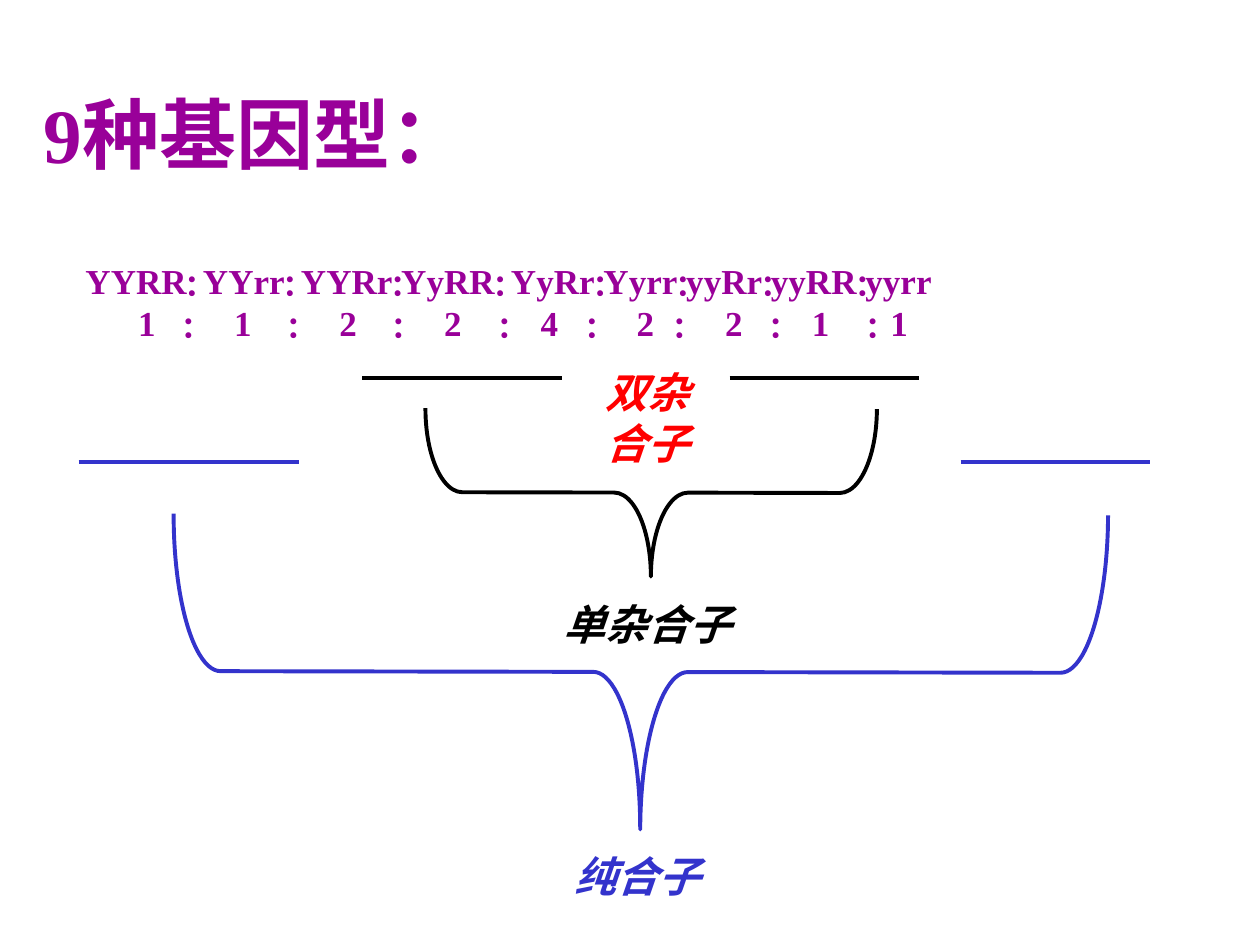
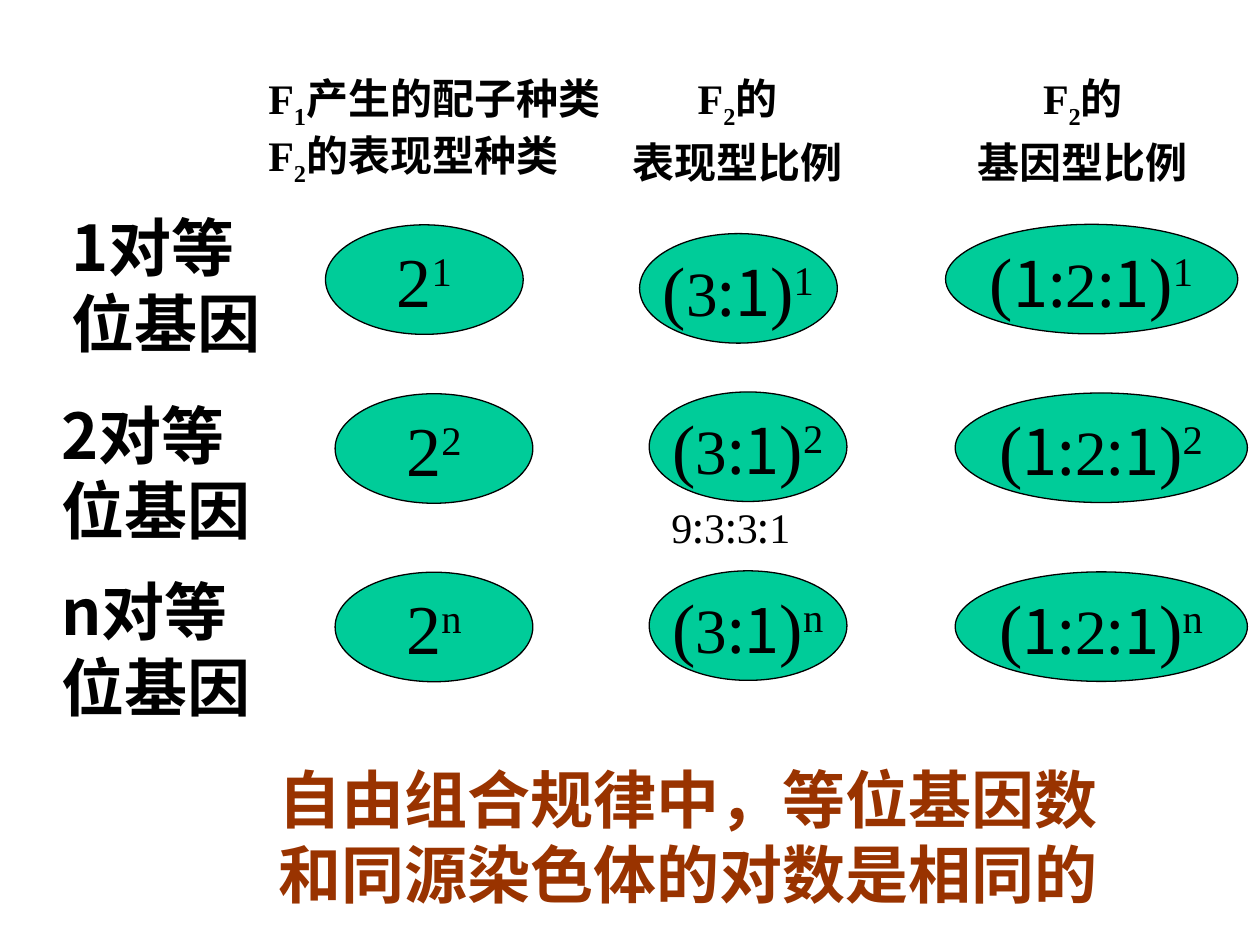
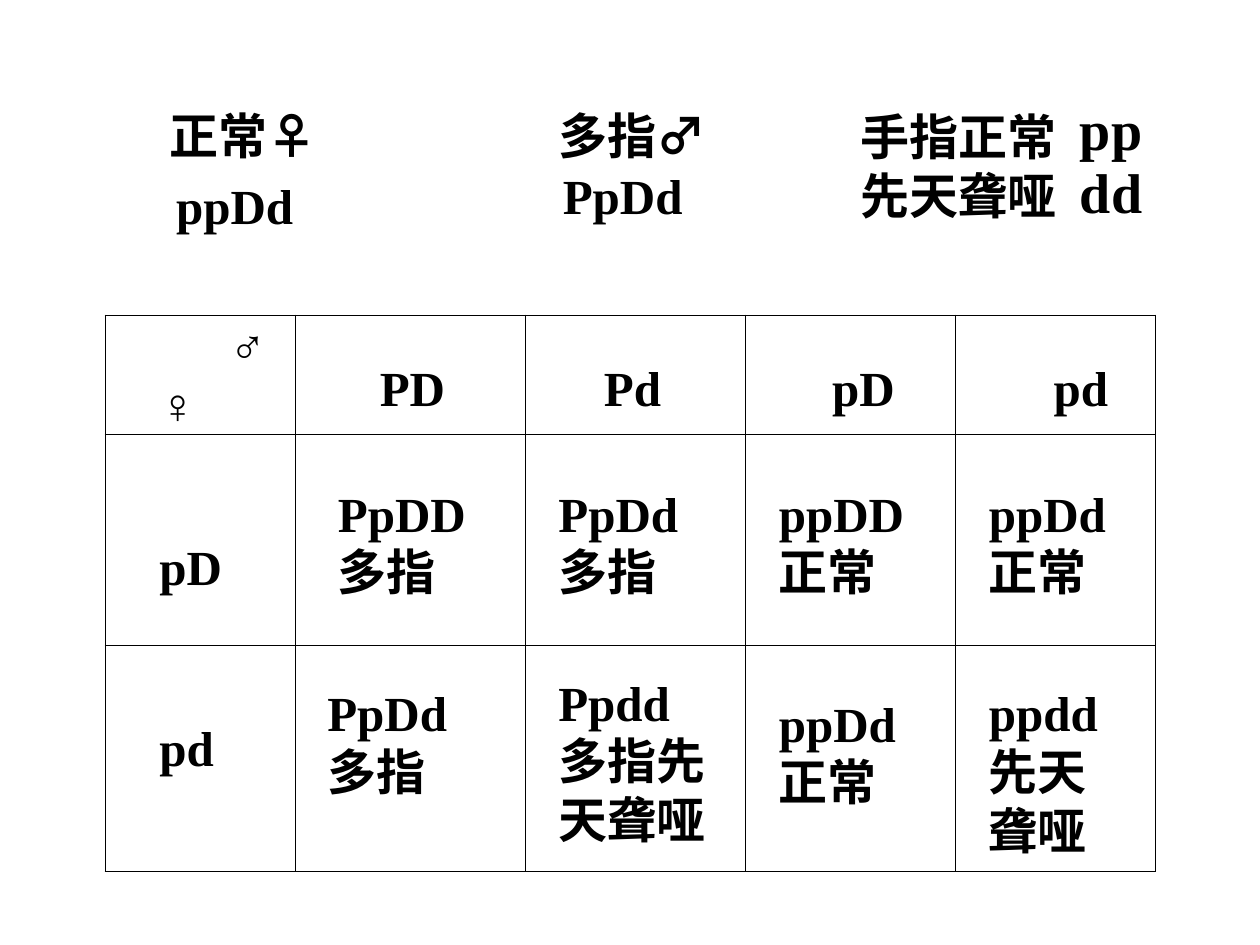
from collections import namedtuple
from dataclasses import dataclass

from lxml import etree
from pptx import Presentation
from pptx import util as u
from pptx.dml.color import RGBColor
from pptx.enum import shapes, text
from pptx.oxml import ns

Area = namedtuple("Area", "left top width height")
Span = namedtuple("Span", "text options")


@dataclass(frozen=True)
class Theme:
    """Colours, fonts and type sizes of the deck."""

    ink: str = "000000"
    purple: str = "990099"
    red: str = "FF0000"
    blue: str = "3333CC"
    brown: str = "993300"
    green: str = "00CC99"
    serif: str = "Times New Roman"
    sans: str = "Noto Sans CJK SC"
    title: float = 44
    formula: float = 40
    heading: float = 36
    allele: float = 32
    cross: float = 28
    label: float = 24
    ratio: float = 20
    pitch: float = 1.2
    drop: float = 0.09
    stroke: float = 2.25


THEME = Theme()
LEFT, CENTER = text.PP_ALIGN.LEFT, text.PP_ALIGN.CENTER


def points(*values):
    """Turn numbers into point lengths."""
    return [u.Pt(value) for value in values]


def colour(value):
    """Turn a hex string into a colour."""
    return RGBColor.from_string(value)


def span(words, **options):
    """Describe a piece of text with its own format."""
    return Span(words, options)


def format_span(run, size, color=THEME.ink, font=THEME.serif, bold=True, italic=False, baseline=0):
    """Apply the character format to one run."""
    run.font.size = u.Pt(size)
    run.font.bold, run.font.italic = bold, italic
    run.font.color.rgb = colour(color)
    run.font.name = font
    properties = run.font._element
    etree.SubElement(properties, ns.qn("a:ea"), typeface=THEME.sans)
    if baseline:
        properties.set("baseline", str(baseline * 1000))


def add_tabs(para, stops, align):
    """Give a paragraph tab stops measured in points."""
    tab_list = etree.SubElement(para._p.get_or_add_pPr(), ns.qn("a:tabLst"))
    for stop in stops:
        etree.SubElement(tab_list, ns.qn("a:tab"), pos=str(u.Pt(stop)), algn=align)


def write(frame, paras, size, align=LEFT, pitch=THEME.pitch, gap=0, indents=(), tabs=(), tab_align="l", **style):
    """Fill a text frame; each paragraph is a string or a list of spans."""
    for index, content in enumerate([paras] if isinstance(paras, str) else paras):
        para = frame.add_paragraph() if index else frame.paragraphs[0]
        para.alignment = align
        if pitch:
            para.line_spacing = u.Pt(round(size * pitch, 2))
        if index and gap:
            para.space_before = u.Pt(gap)
        if indents:
            para._p.get_or_add_pPr().set("marL", str(u.Pt(indents[index])))
        if tabs:
            add_tabs(para, tabs, tab_align)
        for piece in [span(content)] if isinstance(content, str) else content:
            run = para.add_run()
            run.text = piece.text
            format_span(run, **{"size": size, **style, **piece.options})


def add_text(parent, area, paras, size, **style):
    """Place a wrapping text box."""
    box = parent.shapes.add_textbox(*points(*area))
    box.text_frame.word_wrap = True
    box.text_frame.margin_top = u.Pt(round(3.6 + THEME.drop * size, 2))
    write(box.text_frame, paras, size, **style)


def add_rule(parent, left, right, top, color):
    """Draw a horizontal line."""
    rule = parent.shapes.add_connector(shapes.MSO_CONNECTOR.STRAIGHT, *points(left, top, right, top))
    rule.line.color.rgb = colour(color)
    rule.line.width = u.Pt(THEME.stroke)
    etree.SubElement(rule._element.spPr, ns.qn("a:effectLst"))


def add_brace(parent, area, curve, color):
    """Draw a brace that spans the area and points down."""
    left = area.left + (area.width - area.height) / 2
    top = area.top + (area.height - area.width) / 2
    brace = parent.shapes.add_shape(
        shapes.MSO_SHAPE.RIGHT_BRACE, *points(left, top, area.height, area.width))
    brace.adjustments[0] = curve
    brace.rotation = 90.1
    brace.shadow.inherit = False
    brace.fill.background()
    brace.line.color.rgb = colour(color)
    brace.line.width = u.Pt(THEME.stroke)


def add_bracket(page, area, rules, curve, words, label, color):
    """Draw two lines, the brace that joins them and its label."""
    group = page.shapes.add_group_shape()
    for left, right, rise in rules:
        add_rule(group, area.left + left, area.left + right, area.top - rise, color)
    add_brace(group, area, curve, color)
    add_text(group, label, words, THEME.label, color=color, italic=True)


def add_ratio(page, area):
    """Write the genotypes above their ratio."""
    genotypes = "YYRR∶ YYrr∶ YYRr∶YyRR∶ YyRr∶Yyrr∶yyRr∶yyRR∶yyrr"
    stops = [35, 58.5, 90, 118.5, 150, 178.5, 210, 239, 265, 289, 320, 339, 370.5, 394, 420, 449.5, 465]
    ratio = "\t" + "\t∶\t".join("112242211")
    add_text(page, area, [genotypes, ratio], THEME.ratio, color=THEME.purple, tabs=stops, tab_align="ctr")


def build_genotypes(page, area):
    """Build the slide of nine genotypes."""
    left, top = area.left, area.top
    add_ratio(page, Area(left + 41.76, top + 143, 630, 56))
    add_text(page, Area(left + 18, top + 41.76, 279, 60.5), "9种基因型：", THEME.title, color=THEME.purple)
    add_text(page, Area(left + 339, top + 203.8, 72, 65), "双杂合子", THEME.label, color=THEME.red, italic=True)
    add_bracket(page, Area(left + 243, top + 233.5, 258, 96), [(-36, 78, 17.5), (174, 282, 17.5)],
                0.22, "单杂合子", Area(left + 315, top + 336, 120, 36), THEME.ink)
    add_bracket(page, Area(left + 99, top + 294, 534, 180), [(-54, 72, 30), (450, 558, 30)],
                0.15, "纯合子", Area(left + 321, top + 480, 90, 36), THEME.blue)


def add_formula(page, area, pieces, power):
    """Draw an ellipse that holds an expression raised to a power."""
    ellipse = page.shapes.add_shape(shapes.MSO_SHAPE.OVAL, *points(*area))
    ellipse.shadow.inherit = False
    ellipse.fill.solid()
    ellipse.fill.fore_color.rgb = colour(THEME.green)
    ellipse.line.color.rgb = colour(THEME.ink)
    ellipse.line.width = u.Pt(0.75)
    frame = ellipse.text_frame
    frame.word_wrap = False
    frame.vertical_anchor = text.MSO_ANCHOR.MIDDLE
    write(frame, [pieces + [span(power, baseline=30)]], THEME.formula, align=CENTER, pitch=None, bold=False)


def add_headings(page, area):
    """Write the three column headings."""
    def generation(number, words):
        return [span("F"), span(number, baseline=-25), span(words)]

    style = {"size": THEME.label, "pitch": 1.36}
    add_text(page, Area(area.left, area.top, 215.3, area.height),
             [generation("1", "产生的配子种类") + generation("2", "的表现型种类")], **style)
    for offset, words in [(202.3, "表现型比例"), (399.6, "基因型比例")]:
        add_text(page, Area(area.left + offset, area.top, 146, area.height),
                 [generation("2", "的"), words], align=CENTER, **style)


def build_powers(page, area):
    """Build the slide of powers for one, two and n pairs of alleles."""
    left, top = area.left, area.top
    digit = {"size": THEME.heading}
    plain = {**digit, "font": THEME.sans}
    columns = [
        (191.5, 113, [span("2")]),
        (371, 113, [span("("), span("3", **digit), span(":1", **plain), span(")")]),
        (545.8, 167, [span("("), span("1:", **plain), span("2", **digit), span(":1", **plain), span(")")]),
    ]
    rows = [
        ("1", 33.8, 112.3, -5.5, (128.5, 133.5, 128.2)),
        ("2", 28, 219.6, 0, (225, 224, 224.6)),
        ("n", 28, 320.4, 0, (327, 326.2, 326.8)),
    ]
    for power, label_left, label_top, shift, tops in rows:
        add_text(page, Area(left + label_left, top + label_top, 137.5, 93.6),
                 power + "对等位基因", THEME.heading, font=THEME.sans)
        for (column, width, pieces), formula_top in zip(columns, tops):
            add_formula(page, Area(left + column + shift, top + formula_top, width, 62.6), pieces, power)
    add_headings(page, Area(left + 146.2, top + 36, 215.3, 72.7))
    ratio = [span(mark, font=THEME.sans if mark == ":" else THEME.serif) for mark in "9:3:3:1"]
    add_text(page, Area(left + 376.6, top + 280.8, 107.3, 36), [ratio], THEME.label, bold=False)
    add_text(page, Area(left + 152, top + 427.7, 510.5, 93.6), "自由组合规律中，等位基因数和同源染色体的对数是相同的",
             THEME.heading, font=THEME.sans, color=THEME.brown)


def add_border(cell):
    """Clear a cell and outline it."""
    cell.fill.background()
    properties = cell._tc.get_or_add_tcPr()
    for index, side in enumerate(("lnL", "lnR", "lnT", "lnB")):
        line = etree.Element(ns.qn(f"a:{side}"), w=str(u.Pt(0.45)))
        fill = etree.SubElement(line, ns.qn("a:solidFill"))
        etree.SubElement(fill, ns.qn("a:srgbClr"), val=THEME.ink)
        properties.insert(index, line)


def add_grid(page, area, widths, heights):
    """Draw the empty table of the cross."""
    table = page.shapes.add_table(len(heights), len(widths), *points(*area)).table
    table.first_row = table.horz_banding = False
    for column, width in zip(table.columns, widths):
        column.width = u.Pt(width)
    for row, height in zip(table.rows, heights):
        row.height = u.Pt(height)
    for cell in table.iter_cells():
        add_border(cell)


def add_parents(page, area):
    """Write the parents and the traits of the affected child."""
    entries = [
        (222, 4, 114, "多指♂"), (0, 4, 114, "正常♀"),
        (224.6, 38.6, 91, "PpDd"), (3.6, 44.3, 96, "ppDd"),
    ]
    for left, top, width, words in entries:
        add_text(page, Area(area.left + left, area.top + top, width, 41), words, THEME.cross)
    add_text(page, Area(area.left + 388.8, area.top + 5, 138, 75), "手指正常先天聋哑", THEME.cross, align=CENTER)
    add_text(page, Area(area.left + 520, area.top, 54, 84), ["pp", "dd"], THEME.allele, pitch=1.12)


def add_cross(page, area):
    """Draw the table of gametes and offspring."""
    add_grid(page, area, [108.6, 131.6, 126, 120, 113.8], [68, 121, 129])
    left, top = area.left, area.top
    add_text(page, Area(left + 24, top + 120.2, 66, 143), ["pD", "pd"], THEME.cross, gap=70)
    add_text(page, Area(left + 150, top + 18, 444, 41), "PD\tPd\tpD\tpd", THEME.cross, tabs=[128, 258.5, 385])
    add_text(page, Area(left + 18, top - 5.8, 90, 75), ["♂", "♀"], THEME.cross, indents=(46, 6))
    offspring = [
        (126, 90, "PpDD多指"), (252, 90, "PpDd多指"), (378, 90, "ppDD正常"), (498, 90, "ppDd正常"),
        (120, 204, "PpDd多指"), (252, 198, "Ppdd多指先天聋哑"),
        (378, 210, "ppDd正常"), (498, 204, "ppdd先天聋哑"),
    ]
    for child_left, child_top, words in offspring:
        width, height = (102, 108) if len(words) > 8 else (96, 75)
        add_text(page, Area(left + child_left, top + child_top, width, height), words, THEME.cross)


def build_cross(page, area):
    """Build the slide of the two-trait cross."""
    add_parents(page, Area(area.left + 90, area.top + 50, 574, 84))
    add_cross(page, Area(area.left + 60, area.top + 180, 600, 318))


def main():
    """Build and save the deck."""
    deck = Presentation()
    deck.slide_width, deck.slide_height = points(720, 540)
    for build in (build_genotypes, build_powers, build_cross):
        build(deck.slides.add_slide(deck.slide_layouts[6]), Area(0, 0, 720, 540))
    deck.save("out.pptx")


if __name__ == "__main__":
    main()
